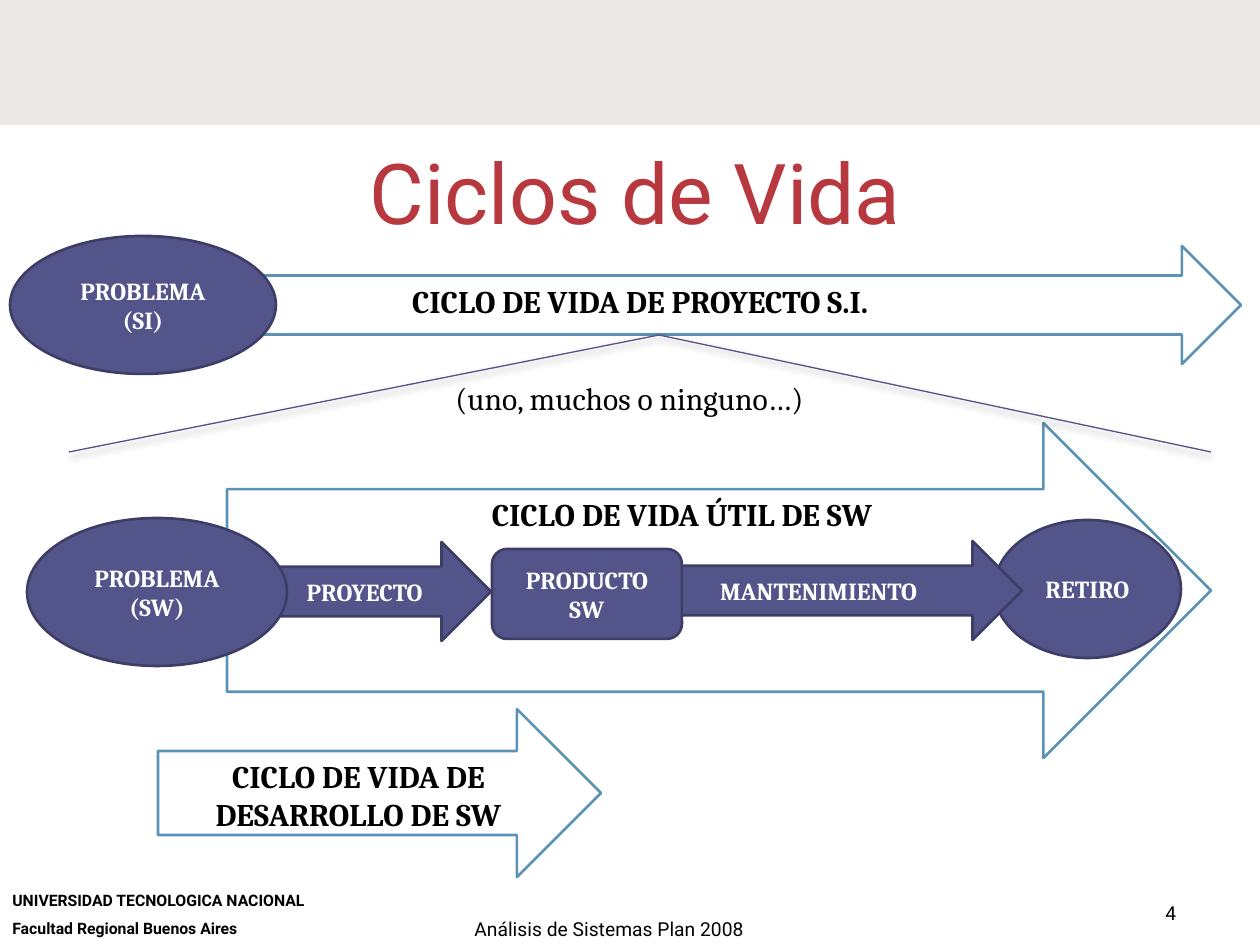
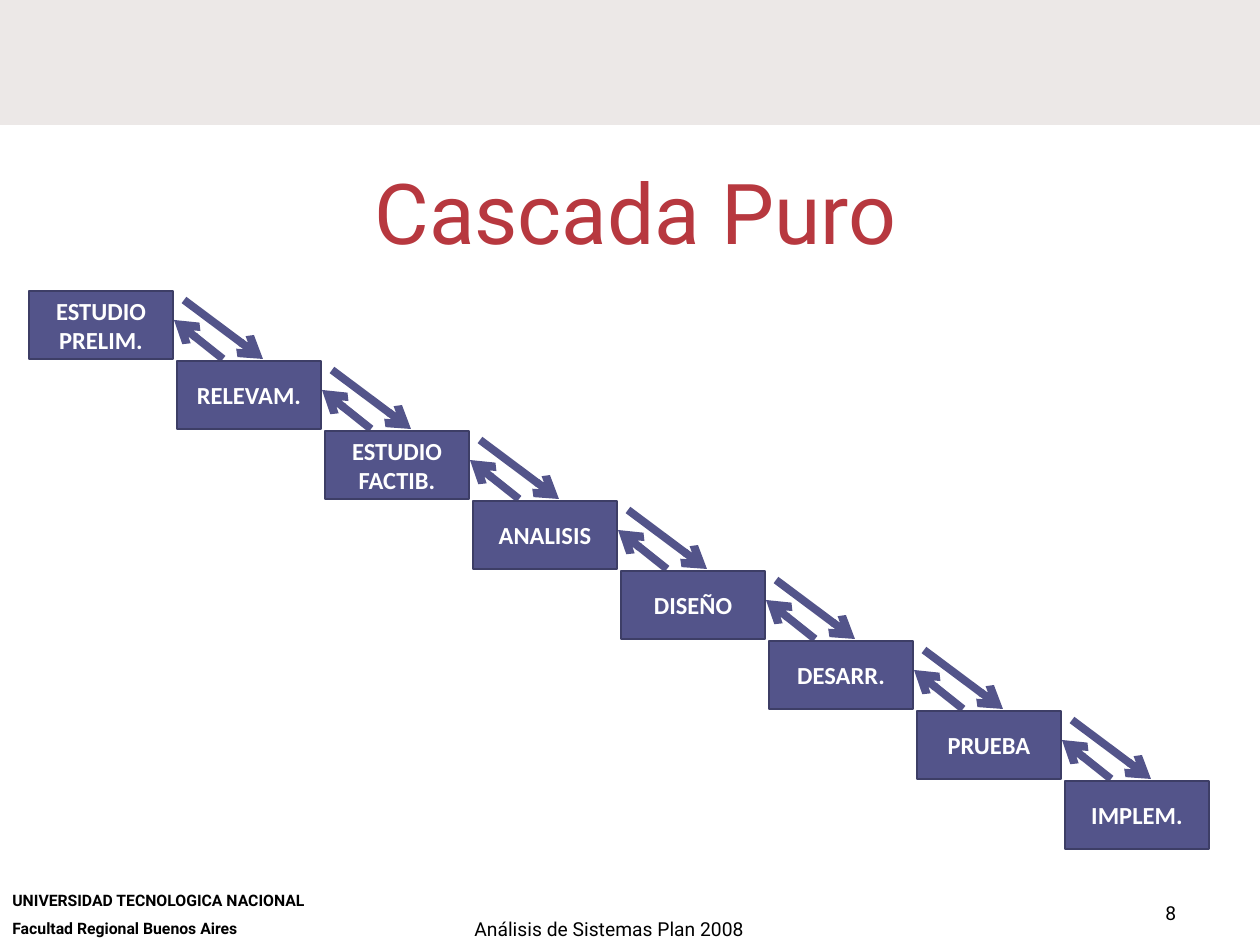
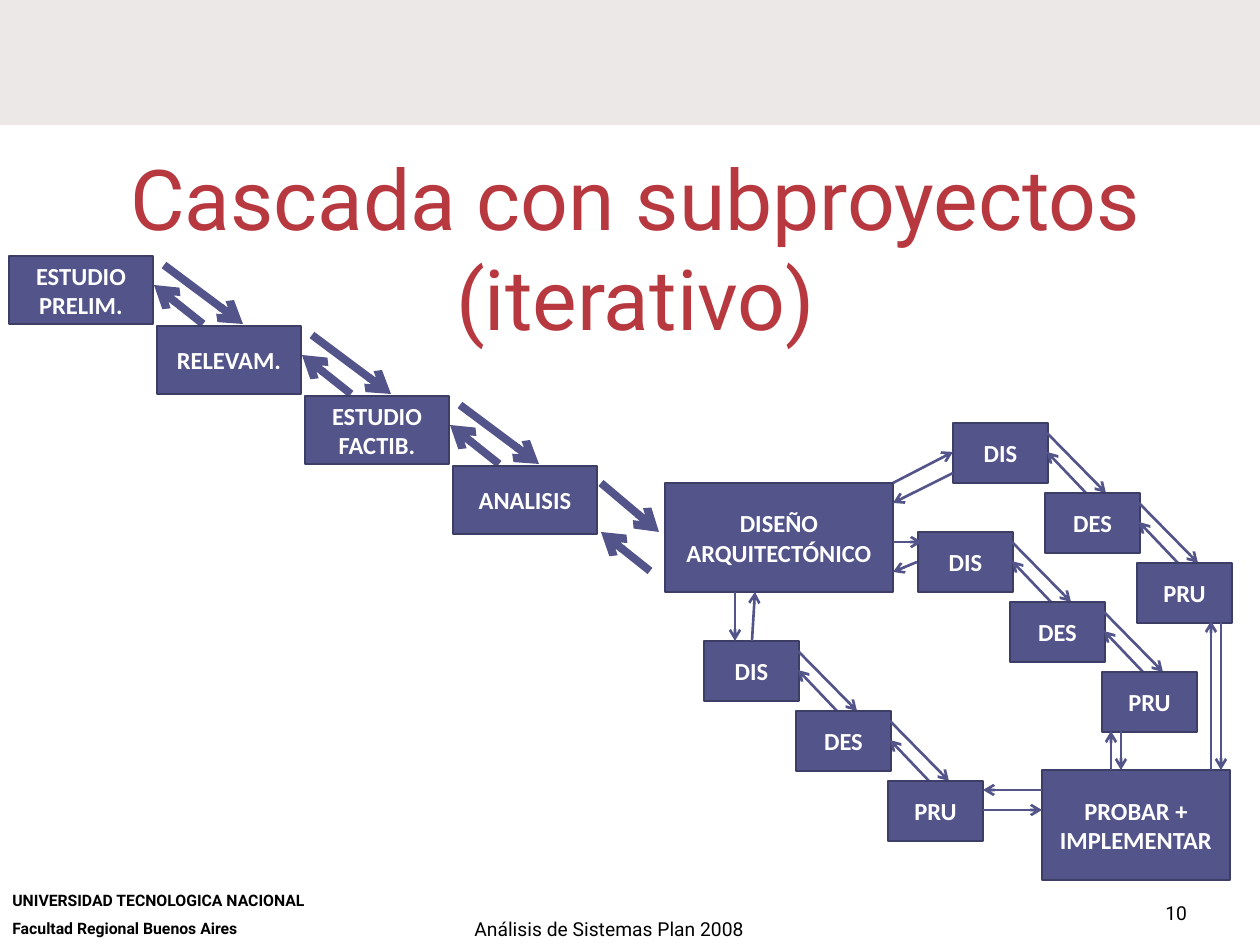
"""Build three slides on software life cycles and waterfall models."""
from lxml import etree
from pptx import Presentation
from pptx import util as u
from pptx.dml.color import RGBColor
from pptx.enum import shapes, text
from pptx.oxml import ns

EMU_PER_PX = u.Inches(1) / 126
INDIGO, INDIGO_EDGE, TEAL = "53548A", "3D3E66", "5C92B5"
WHITE, BLACK, RED, BAND = "FFFFFF", "000000", "B7383F", "ECE8E7"
KIND = shapes.MSO_SHAPE
CENTER, LEFT = text.PP_ALIGN.CENTER, text.PP_ALIGN.LEFT
TOP, MIDDLE, BOTTOM = text.MSO_ANCHOR.TOP, text.MSO_ANCHOR.MIDDLE, text.MSO_ANCHOR.BOTTOM

LOOKS = {
    "title": dict(name="Roboto", size=48, bold=False, ink=RED, align=CENTER, anchor=BOTTOM),
    "band": dict(name="Roboto", size=11, bold=False, ink=BLACK, align=LEFT, anchor=TOP, fill=BAND),
    "school": dict(name="Roboto", size=9, bold=True, ink=BLACK, align=LEFT, anchor=TOP),
    "footer": dict(name="Roboto", size=11, bold=False, ink=BLACK, align=LEFT, anchor=TOP),
    "note": dict(name="Cambria", size=18, bold=False, ink=BLACK, align=LEFT, anchor=TOP),
    "cycle": dict(name="Cambria", size=18, bold=True, ink=BLACK, align=CENTER, anchor=TOP,
                  fill=WHITE, edge=TEAL),
    "phase": dict(name="Cambria", size=14, bold=True, ink=WHITE, align=CENTER, anchor=MIDDLE,
                  fill=INDIGO, edge=INDIGO_EDGE),
    "stage": dict(name="Calibri", size=14, bold=True, ink=WHITE, align=CENTER, anchor=MIDDLE,
                  fill=INDIGO, edge=INDIGO_EDGE),
}


def block(slide, label, look, area, kind=None):
    """Place a labelled shape, a text box or the slide title, and return it."""
    style = LOOKS[look]
    place = [round(n * EMU_PER_PX) for n in area]
    if look == "title":
        item = slide.shapes.title
        for side, length in zip(("left", "top", "width", "height"), place):
            setattr(item, side, length)
    elif kind is None:
        item = slide.shapes.add_textbox(*place)
    else:
        item = slide.shapes.add_shape(kind, *place)
        item.shadow.inherit = False
        item.fill.solid()
        item.fill.fore_color.rgb = RGBColor.from_string(style["fill"])
        if "edge" in style:
            item.line.color.rgb = RGBColor.from_string(style["edge"])
            item.line.width = u.Pt(1.5)
        else:
            item.line.fill.background()
    frame = item.text_frame
    frame.text = label
    for key, value in dict(word_wrap=True, auto_size=text.MSO_AUTO_SIZE.NONE,
                           vertical_anchor=style["anchor"]).items():
        setattr(frame, key, value)
    for paragraph in frame.paragraphs:
        paragraph.alignment = style["align"]
        for run in paragraph.runs:
            for key, value in dict(name=style["name"], size=u.Pt(style["size"]),
                                   bold=style["bold"]).items():
                setattr(run.font, key, value)
            run.font.color.rgb = RGBColor.from_string(style["ink"])
    return item


def link(slide, ends, weight, head=True):
    """Draw a straight line between two points, with an arrowhead or a soft shadow."""
    line = slide.shapes.add_connector(shapes.MSO_CONNECTOR.STRAIGHT,
                                      *[round(n * EMU_PER_PX) for n in ends])
    line.line.color.rgb = RGBColor.from_string(INDIGO)
    line.line.width = u.Pt(weight)
    effects = etree.SubElement(line._element.spPr, ns.qn("a:effectLst"))
    if head:
        etree.SubElement(line.line._get_or_add_ln(), ns.qn("a:tailEnd"), type="arrow")
    else:
        shade = etree.SubElement(effects, ns.qn("a:outerShdw"), blurRad=str(u.Pt(4.1)),
                                 dist=str(u.Pt(2)), dir="5400000", rotWithShape="0")
        tint = etree.SubElement(shade, ns.qn("a:srgbClr"), val=BLACK)
        etree.SubElement(tint, ns.qn("a:alpha"), val="40000")


deck = Presentation()
deck.slide_width, deck.slide_height = u.Inches(10), u.Inches(7.5)

slides = []
for title, number, top, height in [
    ("Ciclos de Vida", "4", 128, 120),
    ("Cascada Puro", "8", 168, 100),
    ("Cascada con subproyectos (iterativo)", "10", 168, 186),
]:
    slide = deck.slides.add_slide(deck.slide_layouts[5])
    block(slide, "", "band", (0, 0, 1260, 125), KIND.RECTANGLE)
    school = block(slide, "UNIVERSIDAD TECNOLOGICA NACIONAL\nFacultad Regional Buenos Aires",
                   "school", (0, 885, 384, 60))
    school.text_frame.paragraphs[1].space_before = u.Pt(5)
    block(slide, "Análisis de Sistemas Plan 2008", "footer", (462, 911, 316, 34))
    block(slide, number, "footer", (1153, 895, 105, 50))
    block(slide, title, "title", (100, top, 1071, height))
    slides.append(slide)
cycles, waterfall, subprojects = slides

useful_life = block(cycles, "CICLO DE VIDA ÚTIL DE SW", "cycle", (227, 423, 984, 335),
                    KIND.RIGHT_ARROW)
useful_life.adjustments[0] = 0.605
useful_life.text_frame.margin_left = round(40 * EMU_PER_PX)
for label, look, area, kind in [
    ("PROYECTO", "phase", (263, 542, 228, 99), KIND.RIGHT_ARROW),
    ("CICLO DE VIDA DE DESARROLLO DE SW", "cycle", (158, 709, 443, 168), KIND.RIGHT_ARROW),
    ("PROBLEMA\n(SW)", "phase", (27, 518, 260, 148), KIND.OVAL),
    ("RETIRO", "phase", (994, 520, 187, 138), KIND.OVAL),
    ("MANTENIMIENTO", "phase", (640, 541, 382, 99), KIND.RIGHT_ARROW),
    ("PRODUCTO\nSW", "phase", (492, 549, 190, 90), KIND.ROUNDED_RECTANGLE),
    ("CICLO DE VIDA DE PROYECTO S.I.", "cycle", (69, 246, 1172, 118), KIND.RIGHT_ARROW),
    ("(uno, muchos o ninguno…)", "note", (443, 373, 412, 50), None),
    ("PROBLEMA\n(SI)", "phase", (10, 236, 266, 138), KIND.OVAL),
]:
    block(cycles, label, look, area, kind)
for corner in (69, 1211):
    link(cycles, (659, 335, corner, 452), 0.75, head=False)

block(subprojects, "DISEÑO ARQUITECTÓNICO", "stage", (665, 483, 228, 109), KIND.RECTANGLE)
block(subprojects, "PROBAR + IMPLEMENTAR", "stage", (1042, 770, 188, 110), KIND.RECTANGLE)

stages = ["ESTUDIO\vPRELIM.", "RELEVAM.", "ESTUDIO\vFACTIB.", "ANALISIS",
          "DISEÑO", "DESARR.", "PRUEBA", "IMPLEM."]
wide = dict(step=(148, 70), size=(144, 68), weight=4.5,
            links=[(155, 9, 234, 68), (194, 68, 145, 29)])
narrow = dict(step=(92, 70), size=(95, 60), weight=1.5,
              links=[(94, 10, 153, 70), (133, 70, 94, 29)])
for slide, labels, (left, top), form in [
    (waterfall, stages, (29, 291), wide),
    (subprojects, stages[:4], (9, 256), wide),
    (subprojects, ["DIS", "DES", "PRU"], (953, 423), narrow),
    (subprojects, ["DIS", "DES", "PRU"], (918, 532), narrow),
    (subprojects, ["DIS", "DES", "PRU"], (704, 641), narrow),
]:
    for index, label in enumerate(labels):
        x, y = left + index * form["step"][0], top + index * form["step"][1]
        block(slide, label, "stage", (x, y, *form["size"]), KIND.RECTANGLE)
        if index < len(labels) - 1:
            for x1, y1, x2, y2 in form["links"]:
                link(slide, (x + x1, y + y1, x + x2, y + y2), form["weight"])

for weight, routes in {
    4.5: [(601, 483, 659, 532), (650, 571, 601, 532)],
    1.5: [(893, 483, 953, 452), (953, 473, 893, 503),
          (893, 542, 922, 542), (917, 562, 893, 572),
          (735, 592, 735, 641), (752, 641, 755, 592),
          (1042, 790, 983, 790), (983, 810, 1042, 810),
          (1121, 731, 1121, 770), (1111, 770, 1111, 731),
          (1221, 621, 1221, 770), (1211, 770, 1211, 621)],
}.items():
    for route in routes:
        link(subprojects, route, weight)

deck.save("out.pptx")
